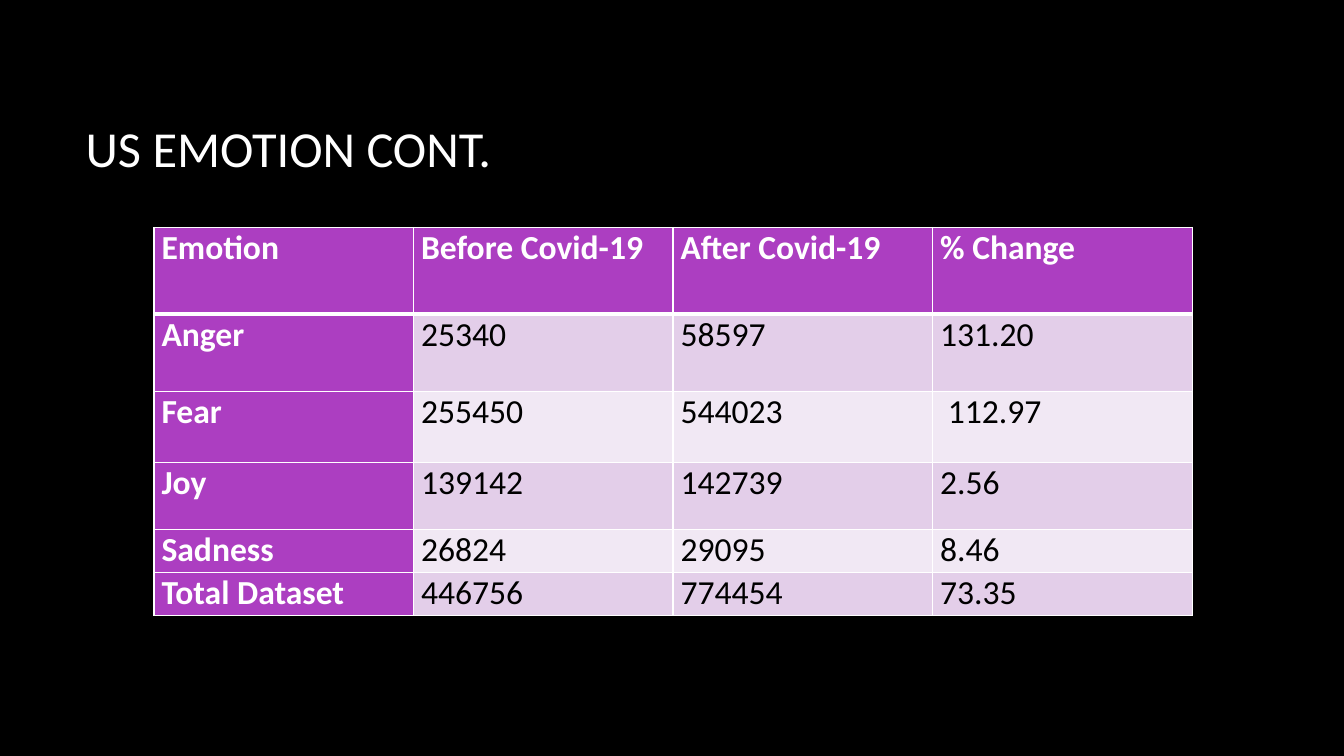
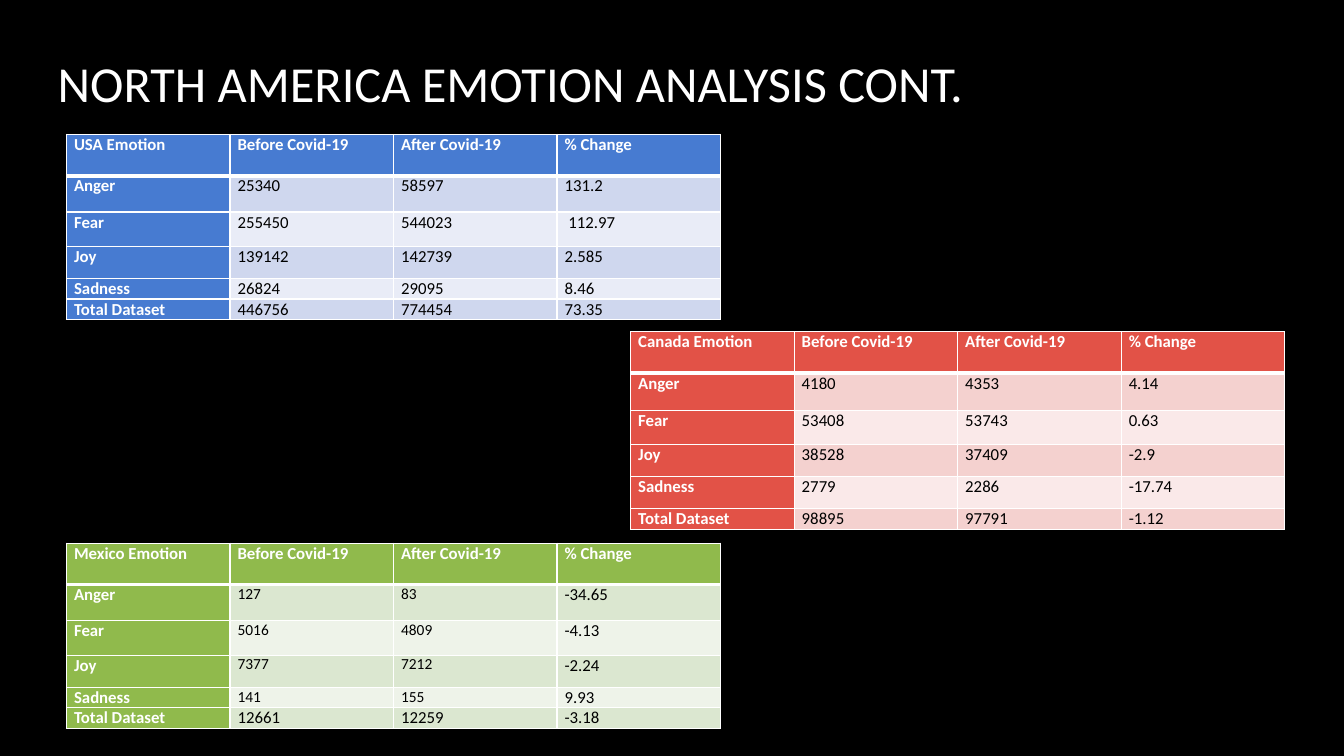
from dataclasses import dataclass

import lxml.etree
import pptx
import pptx.dml.color
import pptx.enum.text
import pptx.oxml.ns
import pptx.presentation
import pptx.slide
import pptx.table
import pptx.text.text
import pptx.util

# Shared style
FONT = "Calibri"
WHITE = "FFFFFF"
BLACK = "000000"
TITLE_SIZE = 36
CELL_MARGIN = 5.4
THIN_LINE = 1
HEADER_LINE = 3
TITLE_ONLY_LAYOUT = 5

EMOTIONS = ("Anger", "Fear", "Joy", "Sadness", "Total Dataset")
USA_BEFORE = ("25340", "255450", "139142", "26824", "446756")
USA_AFTER = ("58597", "544023", "142739", "29095", "774454")

# Row heights of the country tables
COUNTRY_ROWS = (29.5, 26, 24.5, 23, 14.5, 14.5)
CANADA_ROWS = (29.5, 26.5, 24.5, 23, 23, 14.5)


@dataclass(frozen=True)
class Palette:
    accent: str
    dark_band: str
    light_band: str


@dataclass(frozen=True)
class EmotionTable:
    heading: str
    left: float
    top: float
    column_width: float
    row_heights: tuple[float, ...]
    font_size: float
    palette: Palette
    before: tuple[str, ...]
    after: tuple[str, ...]
    change: tuple[str, ...]
    count_size: float | None = None  # size of the counts above the total row

    def rows(self) -> list[tuple[str, ...]]:
        header = (self.heading, "Before Covid-19", "After Covid-19", "% Change")
        return [header, *zip(EMOTIONS, self.before, self.after, self.change)]


@dataclass(frozen=True)
class EmotionSlide:
    title: str
    title_box: tuple[float, float, float, float]
    tables: tuple[EmotionTable, ...]


PURPLE = Palette("AC3EC1", "E3CEE9", "F1E8F4")
BLUE = Palette("477BD1", "CFD7EE", "E9ECF7")
RED = Palette("E25247", "F4D1CF", "FAE9E9")
GREEN = Palette("90BA4C", "DBE7D0", "EEF3E9")

SLIDES = (
    EmotionSlide(
        "US EMOTION CONT.",
        (54, 48, 798, 114.5),
        (
            EmotionTable(
                "Emotion", 110, 162.5, 185.4, (62, 55, 51, 48, 30.5, 30.5), 24, PURPLE,
                USA_BEFORE, USA_AFTER,
                ("131.20", " 112.97", "2.56", "8.46", "73.35"),
            ),
        ),
    ),
    EmotionSlide(
        "NORTH AMERICA EMOTION ANALYSIS CONT.",
        (34, 21, 664, 75),
        (
            EmotionTable(
                "USA Emotion", 47.5, 96, 116.8, COUNTRY_ROWS, 12, BLUE,
                USA_BEFORE, USA_AFTER,
                ("131.2", " 112.97", "2.585", "8.46", "73.35"),
            ),
            EmotionTable(
                "Canada Emotion", 450.5, 237, 116.8, CANADA_ROWS, 12, RED,
                ("4180", "53408", "38528", "2779", "98895"),
                ("4353", "53743", "37409", "2286", "97791"),
                ("4.14", "0.63", "-2.9", "-17.74", "-1.12"),
            ),
            EmotionTable(
                "Mexico Emotion", 47.5, 388, 116.8, COUNTRY_ROWS, 12, GREEN,
                ("127", "5016", "7377", "141", "12661"),
                ("83", "4809", "7212", "155", "12259"),
                ("-34.65", "-4.13", "-2.24", "9.93", "-3.18"),
                count_size=11,
            ),
        ),
    ),
)


def color(value: str) -> pptx.dml.color.RGBColor:
    return pptx.dml.color.RGBColor.from_string(value)


def style_paragraph(
    paragraph: pptx.text.text._Paragraph, size: float, font_color: str, bold: bool
) -> None:
    paragraph.alignment = pptx.enum.text.PP_ALIGN.LEFT
    paragraph.font.name = FONT
    paragraph.font.size = pptx.util.Pt(size)
    paragraph.font.bold = bold
    paragraph.font.color.rgb = color(font_color)


def add_cell_borders(cell: pptx.table._Cell, row_index: int) -> None:
    """Draw white borders, with a thicker line below the header row."""
    widths = {
        "lnL": THIN_LINE,
        "lnR": THIN_LINE,
        "lnT": HEADER_LINE if row_index == 1 else THIN_LINE,
        "lnB": HEADER_LINE if row_index == 0 else THIN_LINE,
    }
    qualified_name = pptx.oxml.ns.qn
    properties = cell._tc.get_or_add_tcPr()
    for side, width in widths.items():
        line = lxml.etree.SubElement(
            properties, qualified_name(f"a:{side}"), w=str(int(pptx.util.Pt(width)))
        )
        fill = lxml.etree.SubElement(line, qualified_name("a:solidFill"))
        lxml.etree.SubElement(fill, qualified_name("a:srgbClr"), val=WHITE)


def format_cell(
    cell: pptx.table._Cell, spec: EmotionTable, row_index: int, column_index: int
) -> None:
    is_heading = row_index == 0 or column_index == 0
    is_total = row_index == len(EMOTIONS)
    is_count = not is_heading and not is_total and column_index < 3

    cell.margin_left = cell.margin_right = pptx.util.Pt(CELL_MARGIN)
    cell.margin_top = cell.margin_bottom = pptx.util.Pt(0)
    add_cell_borders(cell, row_index)

    band = spec.palette.dark_band if row_index % 2 else spec.palette.light_band
    cell.fill.solid()
    cell.fill.fore_color.rgb = color(spec.palette.accent if is_heading else band)

    size = spec.count_size if is_count and spec.count_size else spec.font_size
    style_paragraph(
        cell.text_frame.paragraphs[0], size, WHITE if is_heading else BLACK, is_heading
    )


def add_emotion_table(slide: pptx.slide.Slide, spec: EmotionTable) -> None:
    rows = spec.rows()
    column_count = len(rows[0])
    table = slide.shapes.add_table(
        len(rows),
        column_count,
        pptx.util.Pt(spec.left),
        pptx.util.Pt(spec.top),
        pptx.util.Pt(spec.column_width * column_count),
        pptx.util.Pt(sum(spec.row_heights)),
    ).table
    table.first_col = True
    for column in table.columns:
        column.width = pptx.util.Pt(spec.column_width)
    for row_index, (values, height) in enumerate(zip(rows, spec.row_heights)):
        table.rows[row_index].height = pptx.util.Pt(height)
        for column_index, value in enumerate(values):
            cell = table.cell(row_index, column_index)
            cell.text = value
            format_cell(cell, spec, row_index, column_index)


def add_title(slide: pptx.slide.Slide, spec: EmotionSlide) -> None:
    title = slide.shapes.title
    title.left, title.top, title.width, title.height = map(pptx.util.Pt, spec.title_box)
    title.text_frame.text = spec.title
    title.text_frame.word_wrap = True
    title.text_frame.vertical_anchor = pptx.enum.text.MSO_ANCHOR.MIDDLE
    style_paragraph(title.text_frame.paragraphs[0], TITLE_SIZE, WHITE, False)


def add_emotion_slide(
    presentation: pptx.presentation.Presentation, spec: EmotionSlide
) -> None:
    slide = presentation.slides.add_slide(presentation.slide_layouts[TITLE_ONLY_LAYOUT])
    add_title(slide, spec)
    for table in spec.tables:
        add_emotion_table(slide, table)


def main() -> None:
    presentation = pptx.Presentation()
    presentation.slide_width = pptx.util.Pt(960)
    presentation.slide_height = pptx.util.Pt(540)

    # Black background for every slide
    background = presentation.slide_master.background.fill
    background.solid()
    background.fore_color.rgb = color(BLACK)

    for spec in SLIDES:
        add_emotion_slide(presentation, spec)
    presentation.save("out.pptx")


if __name__ == "__main__":
    main()
